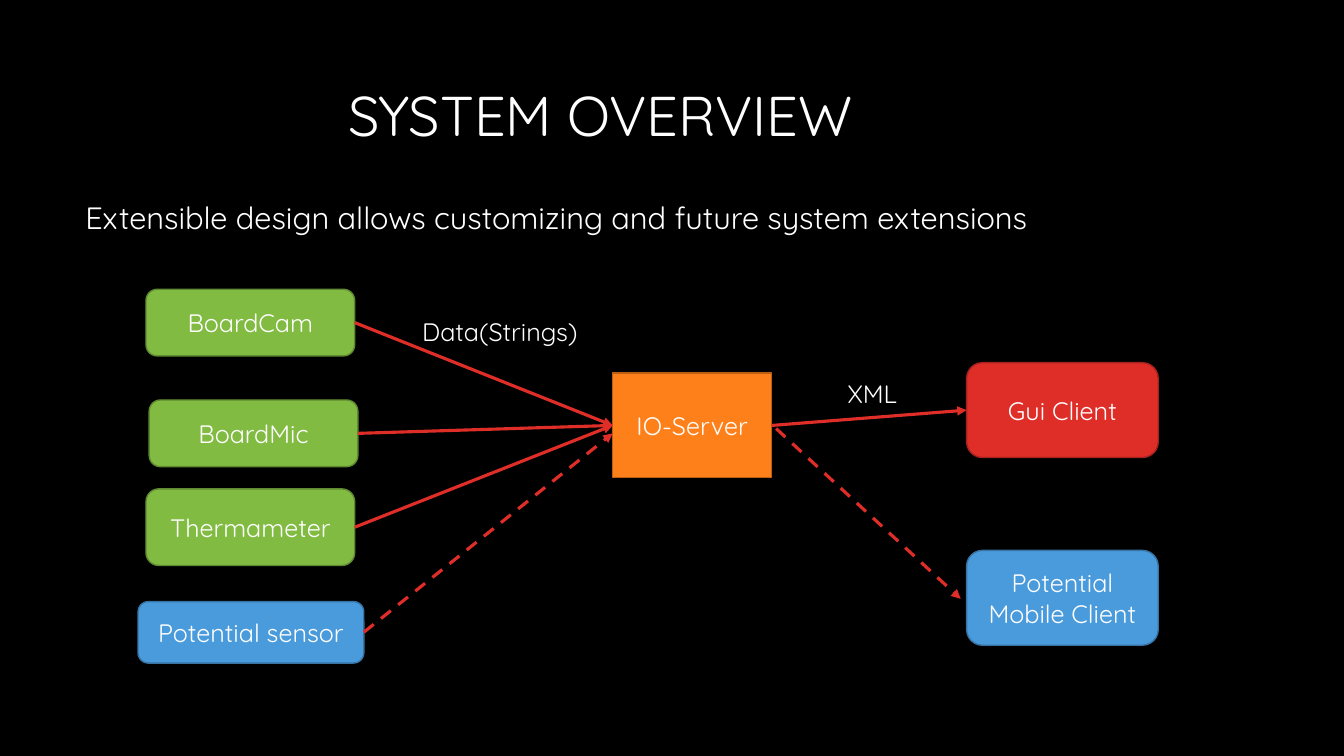
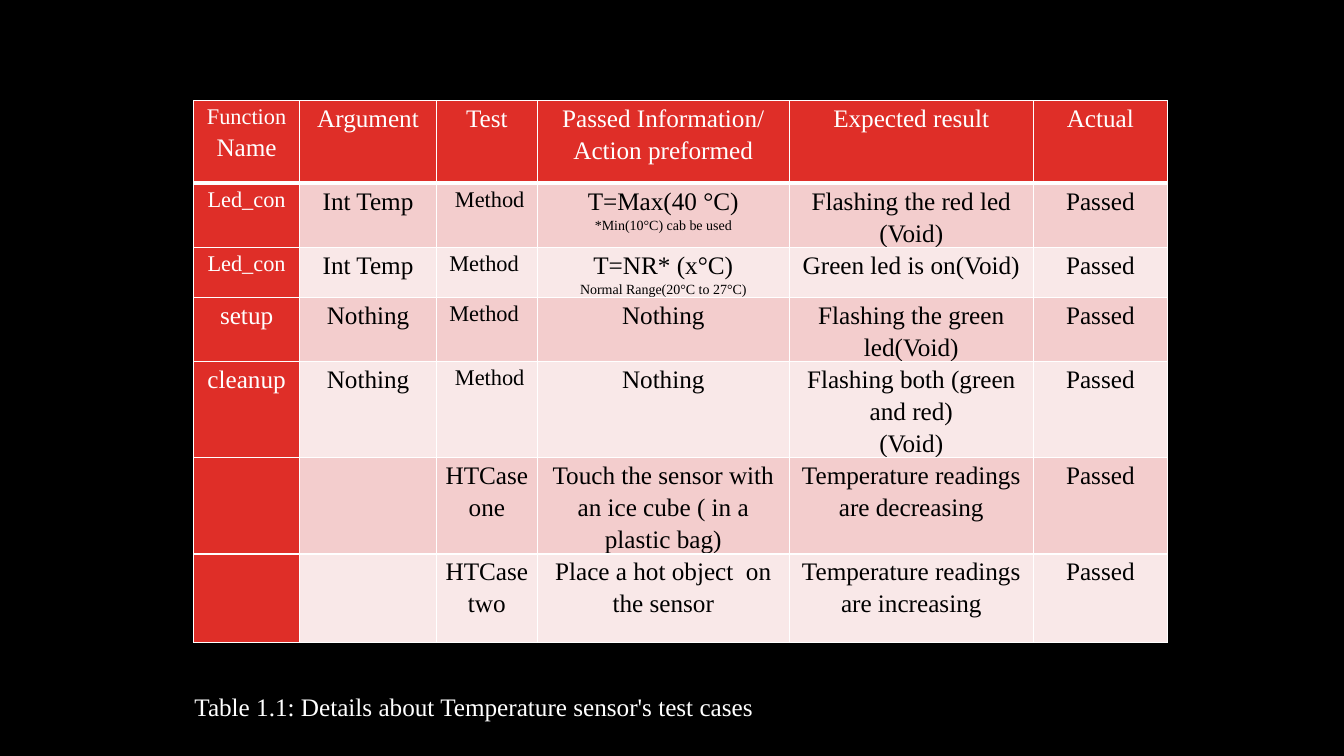
from lxml.etree import SubElement
from pptx import Presentation
from pptx.dml.color import RGBColor
from pptx.enum.dml import MSO_LINE
from pptx.enum.shapes import MSO_CONNECTOR, MSO_SHAPE
from pptx.enum.text import MSO_ANCHOR, PP_ALIGN
from pptx.oxml.ns import qn
from pptx.util import Cm, Pt

COLORS = {
    "black": "000000", "white": "FFFFFF",
    "red": "DF2E28", "dark red": "A5221E",
    "green": "81BB42", "dark green": "5F8A31",
    "blue": "4A9BDC", "dark blue": "3773A3",
    "orange": "FE801A", "dark orange": "BC5F13",
    "band": "F3CDCD", "light band": "F9E8E8",
}
SANS, SERIF = "Quicksand", "Times New Roman"
LEFT_SITE, RIGHT_SITE = 1, 3

# Lengths are centimetres: left, top, width, height
HEADINGS = [
    ("SYSTEM OVERVIEW", (8.53, 1.19, 23.93, 3.58), 40, MSO_ANCHOR.MIDDLE),
    ("Extensible design allows customizing and future system extensions",
     (1.9, 4.98, 30.05, 1.4), 22, MSO_ANCHOR.TOP),
]
LABELS = [
    ("Data(Strings)", (10.39, 7.85, 4.55, 1.02)),
    ("XML", (21.11, 9.4, 2.11, 1.02)),
]
SERVER = "IO-Server"
NODES = [
    (SERVER, "orange", (15.44, 9.4, 4.01, 2.64)),
    ("BoardCam", "green", (3.68, 7.29, 5.26, 1.68)),
    ("BoardMic", "green", (3.76, 10.08, 5.26, 1.68)),
    ("Thermameter", "green", (3.68, 12.32, 5.26, 1.93)),
    ("Potential sensor", "blue", (3.48, 15.16, 5.69, 1.55)),
    ("Gui Client", "red", (24.36, 9.14, 4.83, 2.39)),
    ("Potential Mobile Client", "blue", (24.36, 13.87, 4.83, 2.39)),
]
SOLID_ARROWS = [
    ("BoardCam", SERVER),
    ("BoardMic", SERVER),
    ("Thermameter", SERVER),
    (SERVER, "Gui Client"),
]
DASHED_ARROWS = [
    ((9.17, 15.93), (15.44, 10.92)),
    ((19.56, 10.8), (24.21, 15.09)),
]

TABLE_ORIGIN = (4.88, 2.54)
COLUMN_WIDTHS = [2.67, 3.45, 2.54, 6.35, 6.15, 3.38]
ROW_HEIGHTS = [2.08, 1.6, 1.2, 1.6, 2.42, 2.42, 2.24]
TEST_CASES = [
    ["Function\nName", "Argument", "Test", "Passed Information/\nAction preformed",
     "Expected result", "Actual"],
    ["Led_con", "Int Temp", " Method", "T=Max(40 °C)\n*Min(10°C) cab be used",
     "Flashing the red led (Void)", "Passed"],
    ["Led_con", "Int Temp", "Method ", "T=NR* (x°C)\nNormal Range(20°C to 27°C)",
     "Green led is on(Void)", "Passed"],
    ["setup", "Nothing", "Method ", "Nothing", "Flashing the green led(Void)", "Passed"],
    ["cleanup", "Nothing", " Method", "Nothing",
     "Flashing both (green and red)\n(Void)", "Passed"],
    ["", "", "HTCase one", "Touch the sensor with an ice cube ( in a plastic bag)",
     "Temperature readings are decreasing", "Passed"],
    ["", "", "HTCase two", "Place a hot object  on the sensor",
     "Temperature readings are increasing", "Passed"],
]
SMALL_SIZES = {
    "Function": 16, "Led_con": 16, "Method": 16,
    "*Min(10°C) cab be used": 10, "Normal Range(20°C to 27°C)": 10,
}
CAPTION = ("Table 1.1: Details about Temperature sensor's test cases",
           (4.65, 17.3, 15.88, 1.02))


def rgb(name):
    return RGBColor.from_string(COLORS[name])


def centimetres(values):
    return [Cm(value) for value in values]


def style_font(font, size, name=SANS, color="white"):
    font.size = Pt(size)
    font.name = name
    font.bold = False
    font.color.rgb = rgb(color)


def add_text(slide, text, box, size=18, name=SANS, anchor=MSO_ANCHOR.TOP):
    frame = slide.shapes.add_textbox(*centimetres(box)).text_frame
    frame.word_wrap = True
    frame.vertical_anchor = anchor
    paragraph = frame.paragraphs[0]
    paragraph.text = text
    style_font(paragraph.font, size, name)
    return paragraph


def add_node(slide, text, color, box):
    preset = MSO_SHAPE.RECTANGLE if text == SERVER else MSO_SHAPE.ROUNDED_RECTANGLE
    shape = slide.shapes.add_shape(preset, *centimetres(box))
    shape.shadow.inherit = False
    shape.fill.solid()
    shape.fill.fore_color.rgb = rgb(color)
    shape.line.color.rgb = rgb("dark " + color)
    shape.line.width = Pt(1)
    frame = shape.text_frame
    frame.word_wrap = True
    frame.vertical_anchor = MSO_ANCHOR.MIDDLE
    paragraph = frame.paragraphs[0]
    paragraph.text = text
    paragraph.alignment = PP_ALIGN.CENTER
    style_font(paragraph.font, 18)
    return shape


def add_arrow(slide, start=(0, 0), end=(0, 0)):
    connector = slide.shapes.add_connector(
        MSO_CONNECTOR.STRAIGHT, *centimetres(start + end))
    connector.line.color.rgb = rgb("red")
    connector.line.width = Pt(2.25)
    SubElement(connector.line._get_or_add_ln(), qn("a:tailEnd"), type="triangle")
    SubElement(connector._element.spPr, qn("a:effectLst"))
    return connector


def add_borders(cell, bottom_width):
    properties = cell._tc.get_or_add_tcPr()
    for side, width in (("L", 1), ("R", 1), ("T", 1), ("B", bottom_width)):
        line = SubElement(properties, qn("a:ln" + side), w=str(Pt(width)))
        fill = SubElement(line, qn("a:solidFill"))
        SubElement(fill, qn("a:srgbClr"), val=COLORS["white"])


def fill_cell(cell, text, row, column):
    is_heading = row == 0 or column == 0
    add_borders(cell, 3 if row == 0 else 1)
    cell.fill.solid()
    band = "band" if row % 2 else "light band"
    cell.fill.fore_color.rgb = rgb("red" if is_heading else band)
    cell.margin_left = cell.margin_right = Cm(0.18)
    cell.margin_top = cell.margin_bottom = 0
    cell.text = text
    for paragraph in cell.text_frame.paragraphs:
        paragraph.alignment = PP_ALIGN.CENTER
        paragraph.line_spacing = 1.15
        size = SMALL_SIZES.get(paragraph.text.strip(), 18)
        style_font(paragraph.font, size, SERIF, "white" if is_heading else "black")


def build_overview(slide):
    for text, box, size, anchor in HEADINGS:
        add_text(slide, text, box, size, anchor=anchor).line_spacing = 0.9
    nodes = {node[0]: add_node(slide, *node) for node in NODES}
    for source, target in SOLID_ARROWS:
        connector = add_arrow(slide)
        connector.begin_connect(nodes[source], RIGHT_SITE)
        connector.end_connect(nodes[target], LEFT_SITE)
    for start, end in DASHED_ARROWS:
        add_arrow(slide, start, end).line.dash_style = MSO_LINE.DASH
    for text, box in LABELS:
        add_text(slide, text, box)


def build_test_cases(slide):
    size = (sum(COLUMN_WIDTHS), sum(ROW_HEIGHTS))
    table = slide.shapes.add_table(
        len(ROW_HEIGHTS), len(COLUMN_WIDTHS), *centimetres(TABLE_ORIGIN + size)).table
    table.first_row = table.horz_banding = False
    for column, width in zip(table.columns, COLUMN_WIDTHS):
        column.width = Cm(width)
    for row, height in zip(table.rows, ROW_HEIGHTS):
        row.height = Cm(height)
    for row, texts in enumerate(TEST_CASES):
        for column, text in enumerate(texts):
            fill_cell(table.cell(row, column), text, row, column)
    add_text(slide, *CAPTION, name=SERIF)


def main():
    presentation = Presentation()
    presentation.slide_width, presentation.slide_height = Cm(33.87), Cm(19.05)
    background = presentation.slide_master.background.fill
    background.solid()
    background.fore_color.rgb = rgb("black")
    blank = presentation.slide_layouts[6]
    for build in (build_overview, build_test_cases):
        build(presentation.slides.add_slide(blank))
    presentation.save("out.pptx")


if __name__ == "__main__":
    main()
